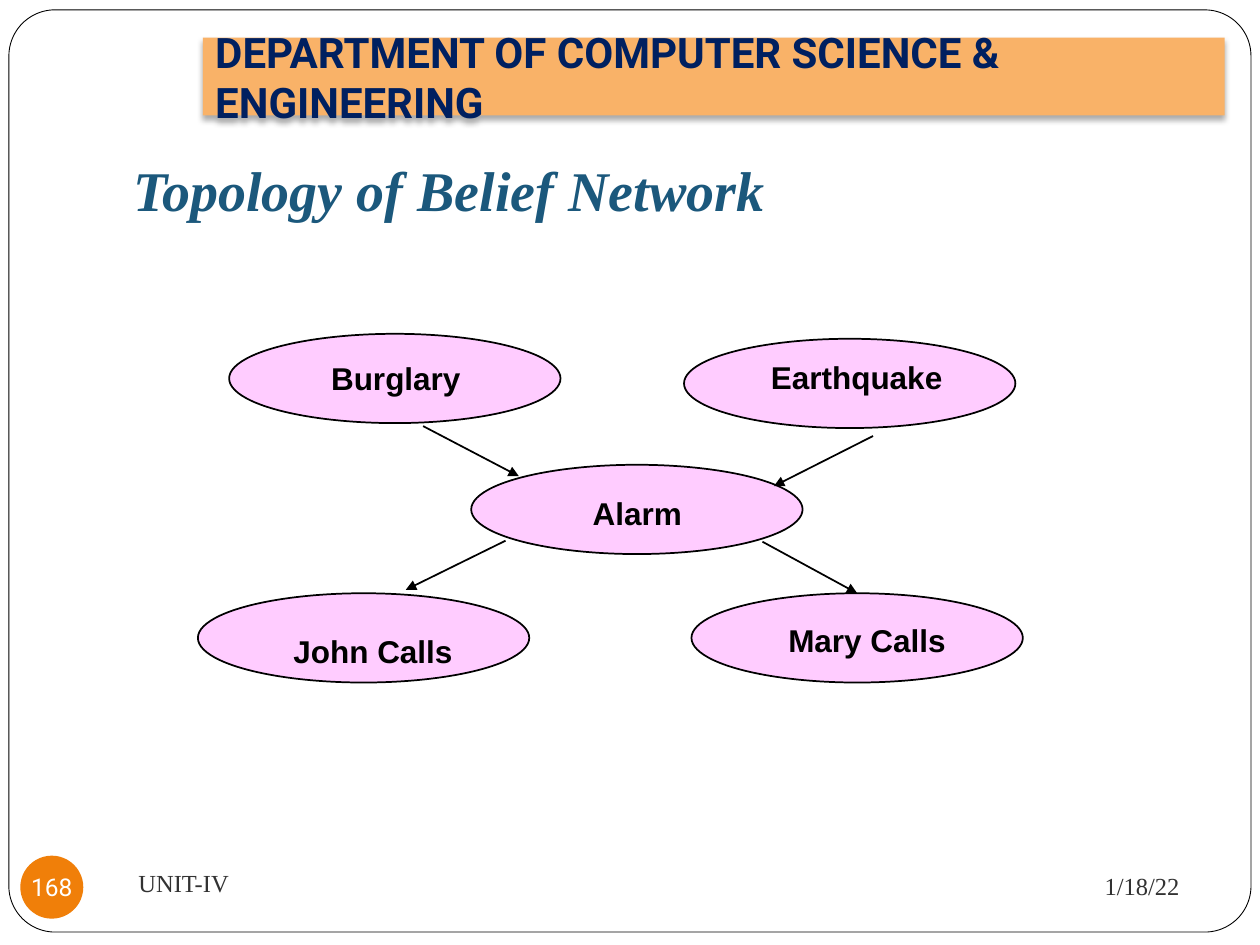
from dataclasses import dataclass

from lxml import etree
from pptx import Presentation
from pptx.dml.color import RGBColor
from pptx.enum.shapes import MSO_CONNECTOR, MSO_SHAPE
from pptx.enum.text import MSO_ANCHOR, MSO_AUTO_SIZE, PP_ALIGN
from pptx.oxml.ns import qn
from pptx.shapes.autoshape import Shape
from pptx.shapes.connector import Connector
from pptx.slide import Slide
from pptx.util import Cm, Pt

OVAL, RECT, ROUND = MSO_SHAPE.OVAL, MSO_SHAPE.RECTANGLE, MSO_SHAPE.ROUNDED_RECTANGLE
TOP, MIDDLE, BOTTOM = MSO_ANCHOR.TOP, MSO_ANCHOR.MIDDLE, MSO_ANCHOR.BOTTOM
LEFT, CENTER, RIGHT = PP_ALIGN.LEFT, PP_ALIGN.CENTER, PP_ALIGN.RIGHT
STRAIGHT, GROW = MSO_CONNECTOR.STRAIGHT, MSO_AUTO_SIZE.SHAPE_TO_FIT_TEXT

Box = tuple[float, float, float, float]
Point = tuple[float, float]
OVAL_SIZE = (6.68, 1.8)
LABEL_SIZE = (5.64, 1.02)

HEAD = {"name": "Roboto", "size": Pt(24), "bold": True}
TITLE = {"name": "Times New Roman", "size": Pt(32), "bold": True, "italic": True}
SMALL = {"name": "Times New Roman", "size": Pt(14)}
COUNT = {"name": "Roboto", "size": Pt(14)}
LABEL = {"name": "Arial", "size": Pt(18), "bold": True}
TIGHT = {"margin_left": 0, "margin_right": 0, "margin_top": 0,
         "margin_bottom": 0, "word_wrap": False}


@dataclass
class Node:
    """A network node: its name, oval corner and label corner in cm."""
    name: str
    oval: Point
    label: Point


@dataclass
class Edge:
    """An arrow between two points in cm, with the node whose top it meets."""
    start: Point
    end: Point
    goal: str = ""


NODES = [
    Node("Burglary", (4.62, 6.73), (5.16, 7.11)),
    Node("Earthquake", (13.79, 6.83), (14.45, 7.09)),
    Node("Alarm", (9.5, 9.37), (10.03, 9.83)),
    Node("John Calls", (3.99, 11.96), (4.7, 12.62)),
    Node("Mary Calls", (13.94, 11.96), (14.66, 12.4)),
]
EDGES = [
    Edge((8.53, 8.59), (10.46, 9.6)),
    Edge((17.6, 8.79), (15.6, 9.8)),
    Edge((10.19, 10.9), (8.18, 11.89)),
    Edge((15.37, 10.92), (17.28, 11.96), "Mary Calls"),
]


def tint(code: str) -> RGBColor:
    """Turn a hex string into a colour."""
    return RGBColor.from_string(code)


def apply(target: object, values: dict) -> None:
    """Set each named value on the target."""
    for key, value in values.items():
        setattr(target, key, value)


def draw(slide: Slide, kind: MSO_SHAPE, box: Box, fill: str, line: float = 0) -> Shape:
    """Add a filled shape, with a black line when a width is given."""
    shape = slide.shapes.add_shape(kind, *map(Cm, box))
    shape.shadow.inherit = False
    shape.fill.solid()
    shape.fill.fore_color.rgb = tint(fill)
    if line:
        shape.line.color.rgb = tint("000000")
        shape.line.width = Pt(line)
    else:
        shape.line.fill.background()
    return shape


def write(shape: Shape, text: str, font: dict, color: str, align: PP_ALIGN = LEFT,
          anchor: MSO_ANCHOR = MIDDLE, **frame: object) -> None:
    """Put one formatted paragraph into a shape."""
    body = shape.text_frame
    apply(body, {"word_wrap": True, "vertical_anchor": anchor, **frame})
    para = body.paragraphs[0]
    para.alignment = align
    run = para.add_run()
    run.text = text
    apply(run.font, font)
    run.font.color.rgb = tint(color)


def note(slide: Slide, box: Box, *args: object, **frame: object) -> None:
    """Add a text box and write into it."""
    write(slide.shapes.add_textbox(*map(Cm, box)), *args, **frame)


def shade(shape: Shape) -> None:
    """Give a shape a soft shadow below it."""
    effect = shape._element.spPr.find(qn("a:effectLst"))
    outer = etree.SubElement(effect, qn("a:outerShdw"), blurRad=str(Pt(3.5)),
                             dist=str(Pt(2.2)), dir="5400000", rotWithShape="0")
    color = etree.SubElement(outer, qn("a:srgbClr"), val="000000")
    etree.SubElement(color, qn("a:alpha"), val="32000")


def link(slide: Slide, edge: Edge, ovals: dict[str, Shape]) -> Connector:
    """Draw an arrow, joined to its goal where it has one."""
    arrow = slide.shapes.add_connector(STRAIGHT, *map(Cm, edge.start + edge.end))
    if edge.goal:
        arrow.end_connect(ovals[edge.goal], 0)
    arrow.line.color.rgb = tint("000000")
    arrow.line.width = Pt(1)
    etree.SubElement(arrow.line._get_or_add_ln(), qn("a:tailEnd"), type="triangle")
    etree.SubElement(arrow._element.spPr, qn("a:effectLst"))
    return arrow


def main() -> None:
    """Build the slide and save it."""
    deck = Presentation()
    deck.slide_width, deck.slide_height = Cm(25.4), Cm(19.05)
    slide = deck.slides.add_slide(deck.slide_layouts[6])

    frame = draw(slide, ROUND, (0.18, 0.2, 25.04, 18.8), "FFFFFF", 0.5)
    frame.height = Cm(18.59)
    frame.adjustments[0] = 0.05
    banner = draw(slide, RECT, (4.09, 0.76, 20.6, 1.57), "F9B268")
    shade(banner)
    write(banner, "DEPARTMENT OF COMPUTER SCIENCE & ENGINEERING", HEAD, "002060")

    note(slide, (2.44, 1.57, 21.59, 3.18), "Topology of Belief Network", TITLE,
         "1B587C", LEFT, BOTTOM, margin_bottom=Cm(0.25))
    note(slide, (17.15, 17.2, 6.88, 1.32), "1/18/22", SMALL, "323232", RIGHT)
    note(slide, (2.54, 17.15, 11, 1.27), "UNIT-IV", SMALL, "323232")
    badge = draw(slide, OVAL, (0.41, 17.25, 1.27, 1.27), "F07F09")
    write(badge, "168", COUNT, "FFFFFF", CENTER, **TIGHT)

    ovals = {}
    for node in NODES:
        ovals[node.name] = draw(slide, OVAL, node.oval + OVAL_SIZE, "FFCCFF", 1)
        note(slide, node.label + LABEL_SIZE, node.name, LABEL, "000000",
             CENTER, TOP, auto_size=GROW)
    for edge in EDGES:
        link(slide, edge, ovals)

    deck.save("out.pptx")


if __name__ == "__main__":
    main()
